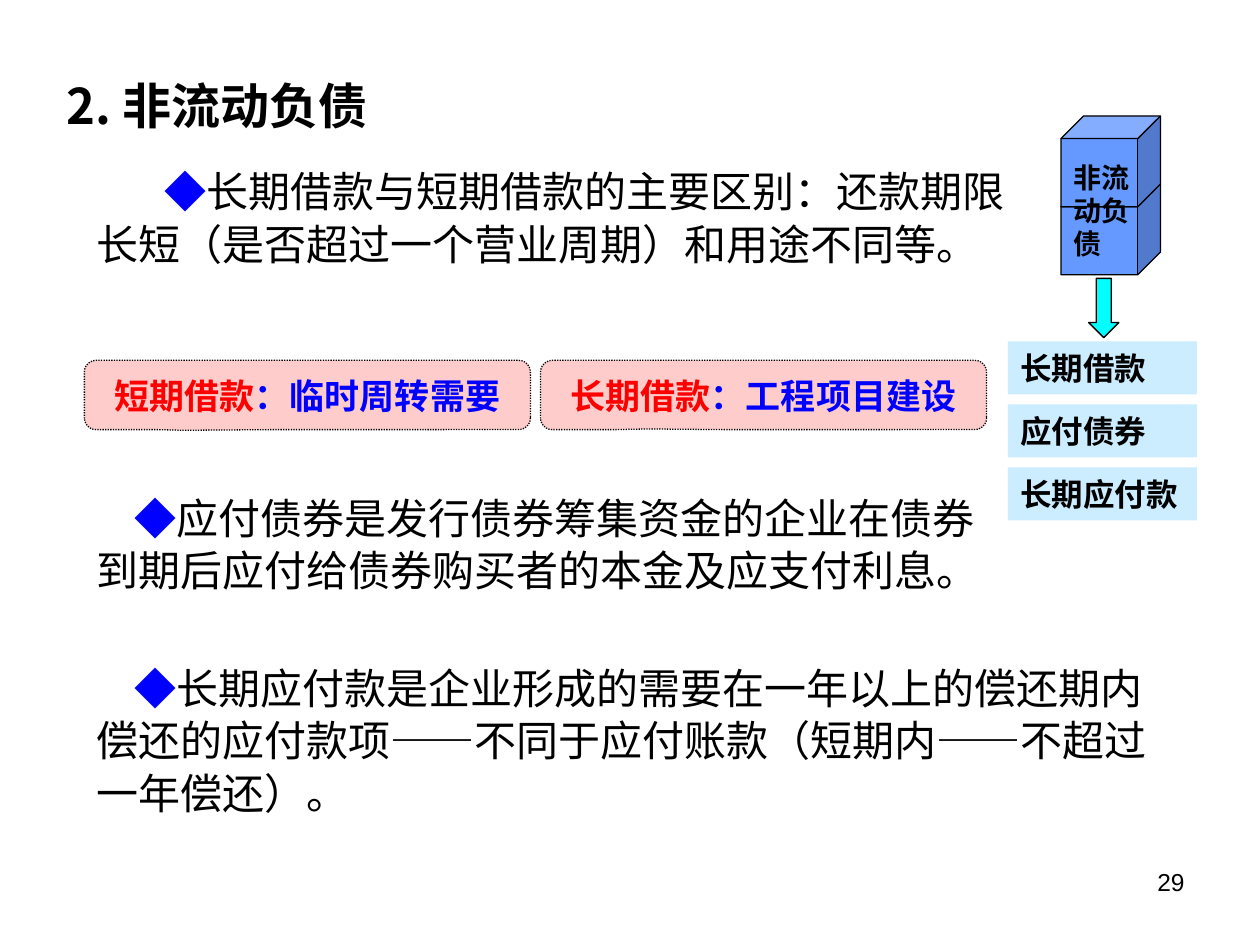
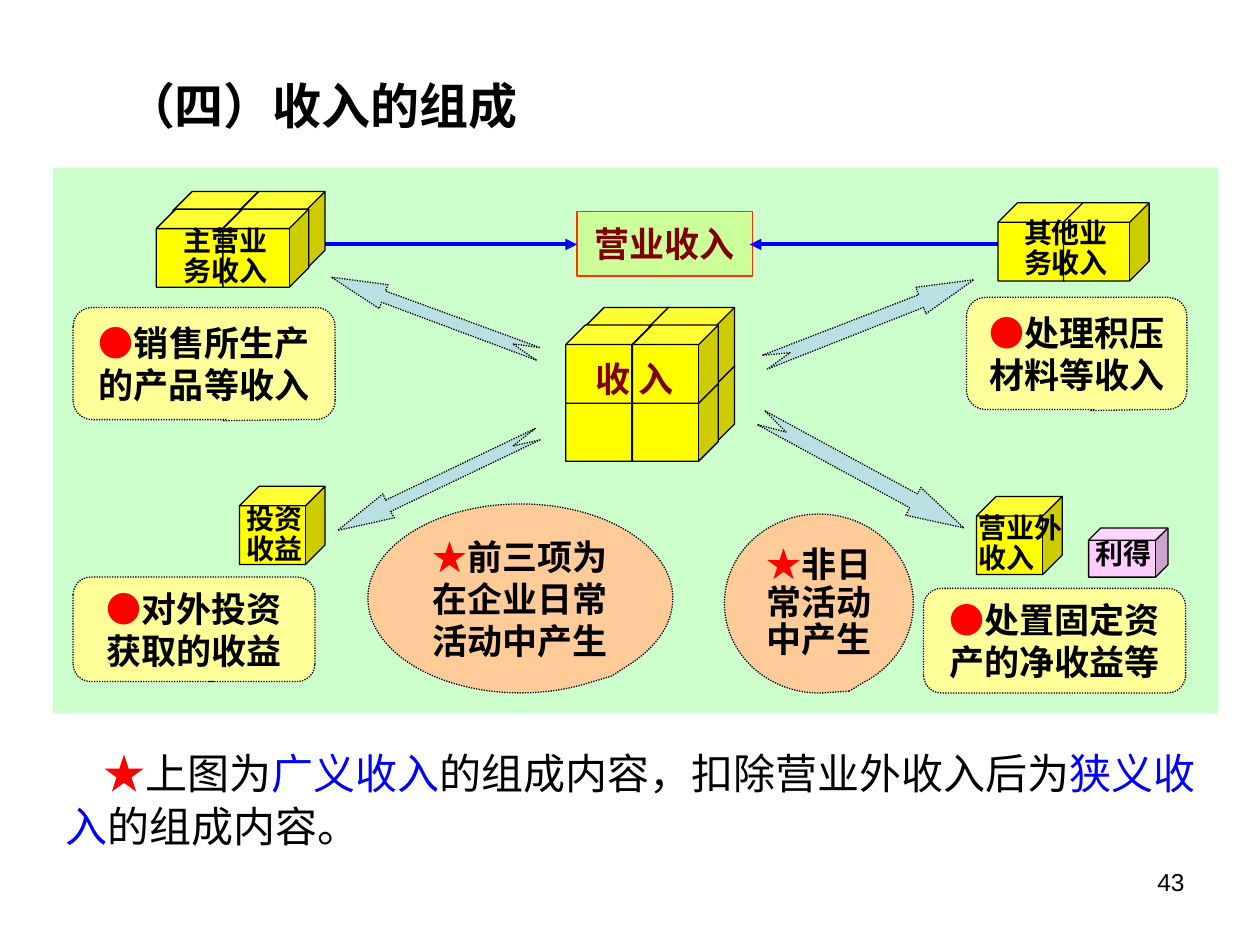
"""Build two accounting slides on long-term debt and on the make-up of income."""
from typing import NamedTuple

from lxml import etree
from pptx import Presentation
from pptx import util as u
from pptx.dml.color import RGBColor
from pptx.enum import dml, shapes, text
from pptx.oxml import ns

BLACK = RGBColor(0, 0, 0)
BLUE = RGBColor(0, 0, 255)
RED = RGBColor(255, 0, 0)
MAROON = RGBColor(128, 0, 0)
ORANGE = RGBColor(255, 51, 0)
PINK = RGBColor(255, 204, 204)
LILAC = RGBColor(255, 204, 255)
SKY = RGBColor(204, 236, 255)
AQUA = RGBColor(0, 255, 255)
STEEL = RGBColor(102, 153, 255)
MINT = RGBColor(204, 255, 204)
LIME = RGBColor(204, 255, 153)
YELLOW = RGBColor(255, 255, 0)
CREAM = RGBColor(255, 255, 153)
PEACH = RGBColor(255, 204, 153)
ICE = RGBColor(187, 224, 227)

SANS, SERIF, HAN = "Arial", "Times New Roman", "Noto Sans CJK SC"
KIND = shapes.MSO_SHAPE
LEFT, MID, RIGHT = text.PP_ALIGN.LEFT, text.PP_ALIGN.CENTER, text.PP_ALIGN.RIGHT
TOP, CORE = text.MSO_ANCHOR.TOP, text.MSO_ANCHOR.MIDDLE


class Run(NamedTuple):
    """A stretch of text in one colour."""
    words: str
    hue: RGBColor = BLACK


class Box(NamedTuple):
    """A place on the slide, in inches."""
    x: float
    y: float
    w: float
    h: float

    def place(self) -> list[int]:
        """Give the four lengths."""
        return [u.Inches(v) for v in self]


class Style(NamedTuple):
    """How a block of text is set."""
    size: int
    font: str = SANS
    bold: bool = True
    align: text.PP_ALIGN = MID
    pitch: float = 0
    indent: float = 0
    anchor: text.MSO_ANCHOR = CORE


class Note(NamedTuple):
    """A dotted callout and its text."""
    box: Box
    runs: list[Run]
    adj: tuple[float, ...]
    fill: RGBColor
    style: Style
    kind: shapes.MSO_SHAPE = KIND.ROUNDED_RECTANGULAR_CALLOUT


class Tag(NamedTuple):
    """A label laid over cubes."""
    box: Box
    runs: list[Run]
    style: Style


HEAD = Style(28, HAN, align=LEFT)
PAGE = Style(14, bold=False, align=RIGHT, anchor=TOP)
BODY = Style(24, HAN, False, LEFT, 30, 0.3, TOP)
PAIR = Style(20, SERIF)
LIST = Style(18, SERIF, align=LEFT)
CARD = Style(20, pitch=24)
TIGHT = Style(20, pitch=21.5)
NAME = Style(16, SERIF, pitch=17)


def write(shape, runs: list[Run], style: Style) -> None:
    """Set the text of a shape, run by run."""
    frame = shape.text_frame
    frame.word_wrap = True
    frame.vertical_anchor = style.anchor
    para = frame.paragraphs[0]
    para.alignment = style.align
    para.space_before = u.Pt(0)
    if style.pitch:
        para.line_spacing = u.Pt(style.pitch)
    if style.indent:
        para._p.get_or_add_pPr().set("indent", str(u.Inches(style.indent)))
    for words, hue in runs:
        run = para.add_run()
        run.text = words
        font = run.font
        font.size, font.bold, font.name = u.Pt(style.size), style.bold, style.font
        font.color.rgb = hue
        etree.SubElement(font._element, ns.qn("a:ea"), typeface=HAN)


def label(slide, box: Box, runs: list[Run], style: Style) -> None:
    """Add a text box."""
    write(slide.shapes.add_textbox(*box.place()), runs, style)


def paint(shape, fill: RGBColor, line: RGBColor | None, dots: bool) -> None:
    """Fill and outline a shape."""
    shape.shadow.inherit = False
    shape.fill.solid()
    shape.fill.fore_color.rgb = fill
    if line is None:
        shape.line.fill.background()
        return
    shape.line.color.rgb = line
    shape.line.width = u.Pt(0.75)
    if dots:
        shape.line.dash_style = dml.MSO_LINE.ROUND_DOT


def form(slide, kind, box: Box, fill: RGBColor, line: RGBColor | None = BLACK,
         adj: tuple[float, ...] = (), dots: bool = False):
    """Add a preset shape."""
    shape = slide.shapes.add_shape(kind, *box.place())
    for i, val in enumerate(adj):
        shape.adjustments[i] = val
    paint(shape, fill, line, dots)
    return shape


def call(slide, note: Note) -> None:
    """Add a dotted callout."""
    shape = form(slide, note.kind, note.box, note.fill, adj=note.adj, dots=True)
    write(shape, note.runs, note.style)


def stack(slide, xs: list[float], ys: list[float]) -> None:
    """Add yellow cubes column by column, from the bottom up."""
    for x in xs:
        for y in ys:
            form(slide, KIND.CUBE, Box(x, y, 0.68, 0.62), YELLOW)


def arrow(slide, start: float, end: float, y: float) -> None:
    """Add a level blue arrow."""
    line = slide.shapes.add_connector(
        shapes.MSO_CONNECTOR.STRAIGHT,
        u.Inches(start), u.Inches(y), u.Inches(end), u.Inches(y))
    line.line.color.rgb = BLUE
    line.line.width = u.Pt(2.25)
    etree.SubElement(line.line._get_or_add_ln(), ns.qn("a:tailEnd"), type="triangle")
    etree.SubElement(line._element.spPr, ns.qn("a:effectLst"))


def dart(slide, pts: list[tuple[float, float]]) -> None:
    """Add a notched arrow from its outline."""
    spots = [(u.Inches(x), u.Inches(y)) for x, y in pts]
    pen = slide.shapes.build_freeform(*spots[0], scale=1.0)
    pen.add_line_segments(spots[1:], close=True)
    paint(pen.convert_to_shape(), ICE, BLACK, True)


def start(deck, title: str, box: Box, page: int):
    """Add a slide with its title and page number."""
    slide = deck.slides.add_slide(deck.slide_layouts[5])
    head = slide.shapes.title
    head.left, head.top, head.width, head.height = box.place()
    write(head, [Run(title)], HEAD)
    label(slide, Box(7.17, 6.83, 2.33, 0.52), [Run(str(page))], PAGE)
    return slide


def debts(deck) -> None:
    """Draw the slide on long-term debt."""
    slide = start(deck, "2. 非流动负债", Box(0.43, 0.48, 4.65, 0.7), 29)
    facts = [
        (Box(0.67, 1.25, 7.55, 1.2), 0.54,
         "长期借款与短期借款的主要区别：还款期限长短（是否超过一个营业周期）和用途不同等。"),
        (Box(0.67, 3.84, 7.33, 1.2), 0.3,
         "应付债券是发行债券筹集资金的企业在债券到期后应付给债券购买者的本金及应支付利息。"),
        (Box(0.67, 5.19, 8.66, 1.5), 0.3,
         "长期应付款是企业形成的需要在一年以上的偿还期内偿还的应付款项——不同于应付账款"
         "（短期内——不超过一年偿还）。"),
    ]
    for box, dent, words in facts:
        label(slide, box, [Run("◆", BLUE), Run(words)], BODY._replace(indent=dent))
    uses = [
        (0.67, "短期借款", "：临时周转需要", (-0.28, 0.51, 0.17)),
        (4.29, "长期借款", "：工程项目建设", (-0.26, 0.49, 0.17)),
    ]
    for x, loan, use, adj in uses:
        call(slide, Note(Box(x, 2.86, 3.54, 0.55),
                         [Run(loan, RED), Run(use, BLUE)], adj, PINK, PAIR))
    for i, words in enumerate(["长期借款", "应付债券", "长期应付款"]):
        bar = form(slide, KIND.RECTANGLE, Box(8, 2.71 + i * 0.5, 1.5, 0.42), SKY, None)
        write(bar, [Run(words)], LIST)
    form(slide, KIND.DOWN_ARROW, Box(8.64, 2.21, 0.24, 0.47), AQUA)
    for y in (1.46, 0.92):
        form(slide, KIND.CUBE, Box(8.42, y, 0.79, 0.72), STEEL)
    label(slide, Box(8.42, 1.21, 0.75, 0.92), [Run("非流动负债")],
          Style(16, align=LEFT, pitch=19))


def income(deck) -> None:
    """Draw the slide on the make-up of income."""
    slide = start(deck, "（四）收入的组成", Box(0.9, 0.48, 8.52, 0.71), 43)
    label(slide, Box(0.42, 5.87, 9.25, 1), [
        Run("★", RED), Run("上图为"), Run("广义收入", BLUE),
        Run("的组成内容，扣除营业外收入后为"), Run("狭义收入", BLUE),
        Run("的组成内容。")], BODY)
    form(slide, KIND.RECTANGLE, Box(0.42, 1.33, 9.25, 4.33), MINT, None)
    sales = form(slide, KIND.RECTANGULAR_CALLOUT, Box(4.58, 1.68, 1.39, 0.51),
                 LIME, ORANGE, (-0.13, 0.5))
    write(sales, [Run("营业收入", MAROON)], PAIR)
    arrow(slide, 2.42, 4.58, 1.94)
    arrow(slide, 8, 5.95, 1.94)

    stack(slide, [4.64], [2.9, 2.44])
    stack(slide, [4.49], [3.04, 2.58])
    stack(slide, [5.15], [2.9, 2.44])
    stack(slide, [5.02], [3.04, 2.58])
    for x in (1.37, 1.9):
        stack(slide, [x], [1.52])
        stack(slide, [x - 0.13], [1.66])
    stack(slide, [7.92, 8.44], [1.61])
    stack(slide, [1.9], [3.86])
    stack(slide, [7.75], [3.94])
    form(slide, KIND.CUBE, Box(8.64, 4.19, 0.63, 0.39), LILAC)
    tags = [
        Tag(Box(4.61, 2.78, 0.86, 0.45), [Run("收 入", MAROON)], PAIR),
        Tag(Box(1.33, 1.76, 0.92, 0.56), [Run("主营业务收入")], NAME),
        Tag(Box(8, 1.7, 0.92, 0.56), [Run("其他业务收入")], NAME),
        Tag(Box(1.8, 3.97, 0.75, 0.56), [Run("投资收益")], NAME),
        Tag(Box(7.67, 4.04, 0.92, 0.56), [Run("营业外收入")], NAME._replace(align=LEFT)),
        Tag(Box(8.58, 4.24, 0.67, 0.33), [Run("利得")], NAME),
    ]
    for tag in tags:
        label(slide, *tag)

    darts = [
        [(6.05, 2.82), (7.29, 2.34), (7.27, 2.28), (7.73, 2.22), (7.35, 2.49),
         (7.33, 2.44), (6.09, 2.93), (6.27, 2.8)],
        [(4.26, 2.86), (3.03, 2.4), (3.01, 2.45), (2.63, 2.2), (3.08, 2.26),
         (3.06, 2.31), (4.29, 2.76), (4.07, 2.73)],
        [(4.29, 3.49), (3.1, 4.06), (3.13, 4.11), (2.68, 4.21), (3.04, 3.92),
         (3.06, 3.97), (4.25, 3.4), (4.07, 3.54)],
        [(6.07, 3.26), (7.28, 3.92), (7.31, 3.87), (7.65, 4.19), (7.19, 4.09),
         (7.22, 4.03), (6.01, 3.37), (6.24, 3.43)],
    ]
    for pts in darts:
        dart(slide, pts)

    cards = [
        (Box(0.58, 2.44, 2.08, 0.89), "销售所生产的产品等收入", (0.07, 0.51, 0.17)),
        (Box(7.67, 2.36, 1.75, 0.89), "处理积压材料等收入", (0.06, 0.51, 0.17)),
        (Box(0.58, 4.58, 1.92, 0.83), "对外投资获取的收益", (0.06, 0.5, 0.17)),
        (Box(7.33, 4.67, 2.08, 0.83), "处置固定资产的净收益等", (0.09, 0.5, 0.17)),
    ]
    for box, words, adj in cards:
        call(slide, Note(box, [Run("●", RED), Run(words)], adj, CREAM, CARD))
    ovals = [
        (Box(2.92, 4, 2.42, 1.5), "前三项为在企业日常活动中产生", (0.3, 0.41), CARD),
        (Box(5.75, 4.08, 1.5, 1.42), "非日常活动中产生", (0.16, 0.49), TIGHT),
    ]
    for box, words, adj, style in ovals:
        call(slide, Note(box, [Run("★", RED), Run(words)], adj, PEACH, style,
                         KIND.OVAL_CALLOUT))


def main() -> None:
    """Build and save the deck."""
    deck = Presentation()
    deck.slide_width, deck.slide_height = u.Inches(10), u.Inches(7.5)
    debts(deck)
    income(deck)
    deck.save("out.pptx")


if __name__ == "__main__":
    main()
